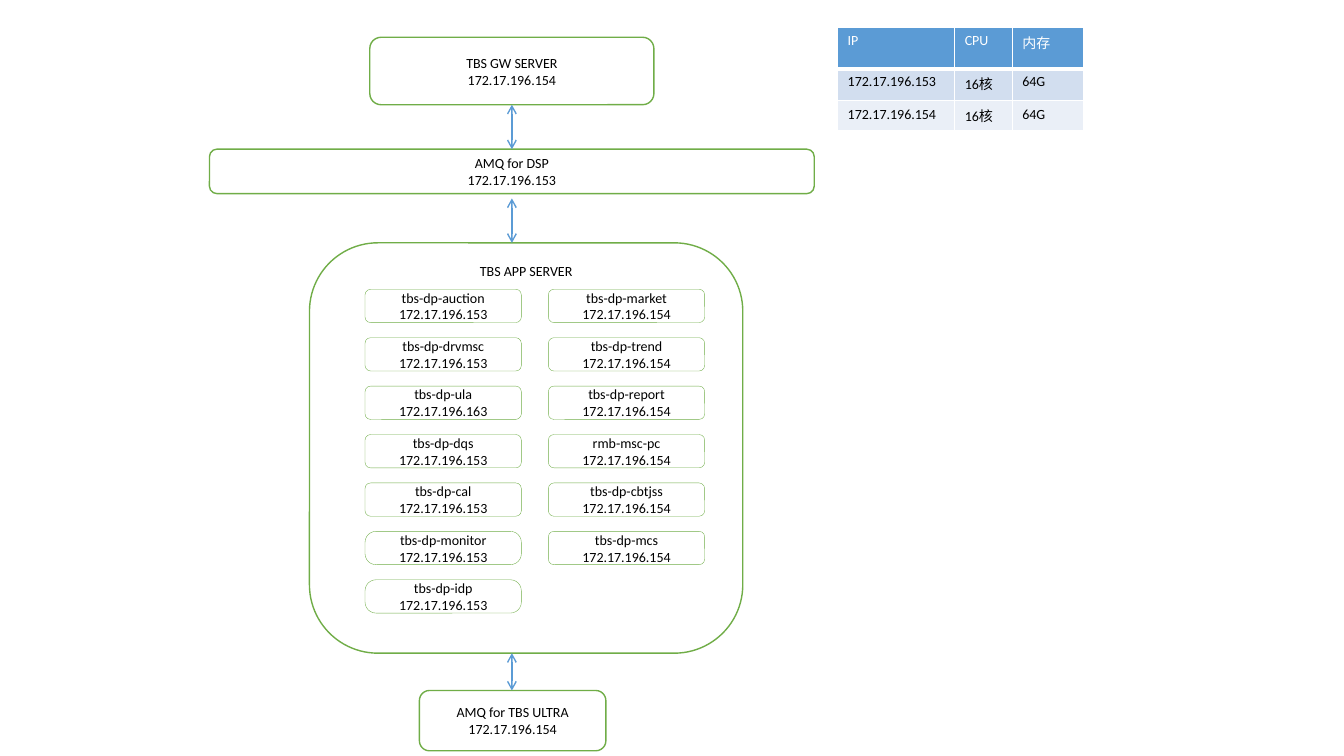
from dataclasses import dataclass

from lxml.etree import SubElement
from pptx import Presentation
from pptx.dml.color import RGBColor
from pptx.enum.shapes import MSO_CONNECTOR as CONN, MSO_SHAPE as SHAPE
from pptx.enum.text import MSO_ANCHOR as ANCHOR, PP_ALIGN as ALIGN
from pptx.oxml.ns import qn
from pptx.util import Cm, Pt

WHITE = RGBColor(0xFF, 0xFF, 0xFF)
BLACK = RGBColor(0, 0, 0)
GREEN = RGBColor(0x70, 0xAD, 0x47)
BLUE = RGBColor(0x5B, 0x9B, 0xD5)
BAND_DARK = RGBColor(0xD2, 0xDE, 0xEF)
BAND_LIGHT = RGBColor(0xEA, 0xEF, 0xF7)

FONT = {"name": "Calibri", "size": Pt(10), "bold": False}
FRAME = {"word_wrap": True, "margin_top": 0, "margin_bottom": 0}


@dataclass
class Box:
    lines: tuple[str, ...]
    x: float
    y: float
    w: float
    h: float
    line: float = 1
    anchor: ANCHOR = ANCHOR.MIDDLE
    corner: float = 0.1667


@dataclass
class Arrow:
    top: float
    bottom: float


SERVERS = [
    Box(("TBS APP SERVER",), 7.8, 6.12, 10.92, 10.34, anchor=ANCHOR.TOP),
    Box(("TBS GW SERVER", "172.17.196.154"), 9.32, 0.94, 7.16, 1.7),
    Box(("AMQ for DSP", "172.17.196.153"), 5.28, 3.76, 15.24, 1.12),
    Box(("AMQ for TBS ULTRA", "172.17.196.154"), 10.57, 17.4, 4.7, 1.52),
]
APP_COLUMNS = [
    (9.2, [
        ("tbs-dp-auction", "172.17.196.153"),
        ("tbs-dp-drvmsc", "172.17.196.153"),
        ("tbs-dp-ula", "172.17.196.163"),
        ("tbs-dp-dqs", "172.17.196.153"),
        ("tbs-dp-cal", "172.17.196.153"),
        ("tbs-dp-monitor", "172.17.196.153"),
        ("tbs-dp-idp", "172.17.196.153"),
    ]),
    (13.82, [
        ("tbs-dp-market", "172.17.196.154"),
        ("tbs-dp-trend", "172.17.196.154"),
        ("tbs-dp-report", "172.17.196.154"),
        ("rmb-msc-pc", "172.17.196.154"),
        ("tbs-dp-cbtjss", "172.17.196.154"),
        ("tbs-dp-mcs", "172.17.196.154"),
    ]),
]
ROUNDER = {"tbs-dp-monitor", "tbs-dp-idp"}
APP_TOP, APP_PITCH, APP_W, APP_H = 7.29, 1.22, 3.94, 0.84
ARROW_X = 12.9
ARROWS = [Arrow(2.64, 3.76), Arrow(5, 6.12), Arrow(16.46, 17.4)]

HOSTS = [
    ("IP", "CPU", "内存"),
    ("172.17.196.153", "16核", "64G"),
    ("172.17.196.154", "16核", "64G"),
]
HOST_COLS = [2.95, 1.45, 1.8]
HOST_ROWS = [1.04, 0.81, 0.74]
HOST_FILLS = [BLUE, BAND_DARK, BAND_LIGHT]


def apply(target, formats: dict) -> None:
    for key, value in formats.items():
        setattr(target, key, value)


def write(p, text: str, color: RGBColor) -> None:
    r = p.add_run()
    r.text = text
    apply(r.font, FONT)
    r.font.color.rgb = color


def draw_box(s, box: Box) -> None:
    sp = s.shapes.add_shape(SHAPE.ROUNDED_RECTANGLE, Cm(box.x), Cm(box.y), Cm(box.w), Cm(box.h))
    sp.adjustments[0] = box.corner
    sp.shadow.inherit = False
    sp.fill.solid()
    sp.fill.fore_color.rgb = WHITE
    sp.line.color.rgb = GREEN
    sp.line.width = Pt(box.line)
    tf = sp.text_frame
    apply(tf, FRAME | {"vertical_anchor": box.anchor})
    for i, text in enumerate(box.lines):
        p = tf.add_paragraph() if i else tf.paragraphs[0]
        p.alignment = ALIGN.CENTER
        write(p, text, BLACK)


def draw_arrow(s, arrow: Arrow) -> None:
    cn = s.shapes.add_connector(CONN.STRAIGHT, Cm(ARROW_X), Cm(arrow.top), Cm(ARROW_X), Cm(arrow.bottom))
    cn.line.color.rgb = BLUE
    cn.line.width = Pt(1)
    props = cn.element.spPr
    ln = props.find(qn("a:ln"))
    for end in ("a:headEnd", "a:tailEnd"):
        SubElement(ln, qn(end), type="arrow")
    SubElement(props, qn("a:effectLst"))


def draw_borders(cell, widths: dict[str, float]) -> None:
    props = cell._tc.get_or_add_tcPr()
    for i, (side, width) in enumerate(widths.items()):
        ln = SubElement(props, qn(f"a:{side}"), w=str(Pt(width)))
        fill = SubElement(ln, qn("a:solidFill"))
        SubElement(fill, qn("a:srgbClr"), val=str(WHITE))
        props.insert(i, ln)


def draw_hosts(s) -> None:
    frame = s.shapes.add_table(len(HOSTS), len(HOST_COLS), Cm(21.11), Cm(0.69),
                               Cm(sum(HOST_COLS)), Cm(sum(HOST_ROWS)))
    table = frame.table
    for col, width in zip(table.columns, HOST_COLS):
        col.width = Cm(width)
    for i, (row, height) in enumerate(zip(table.rows, HOST_ROWS)):
        row.height = Cm(height)
        top, bottom = (3 if i == 1 else 1), (3 if i == 0 else 1)
        for cell, text in zip(row.cells, HOSTS[i]):
            cell.fill.solid()
            cell.fill.fore_color.rgb = HOST_FILLS[i]
            write(cell.text_frame.paragraphs[0], text, BLACK if i else WHITE)
            draw_borders(cell, {"lnL": 1, "lnR": 1, "lnT": top, "lnB": bottom})


def main() -> None:
    prs = Presentation()
    prs.slide_width, prs.slide_height = Cm(33.87), Cm(19.05)
    s = prs.slides.add_slide(prs.slide_layouts[6])
    for box in SERVERS:
        draw_box(s, box)
    for x, apps in APP_COLUMNS:
        for i, app in enumerate(apps):
            corner = 0.33 if app[0] in ROUNDER else 0.1667
            draw_box(s, Box(app, x, APP_TOP + i * APP_PITCH, APP_W, APP_H, 0.25, corner=corner))
    for arrow in ARROWS:
        draw_arrow(s, arrow)
    draw_hosts(s)
    prs.save("out.pptx")


if __name__ == "__main__":
    main()
